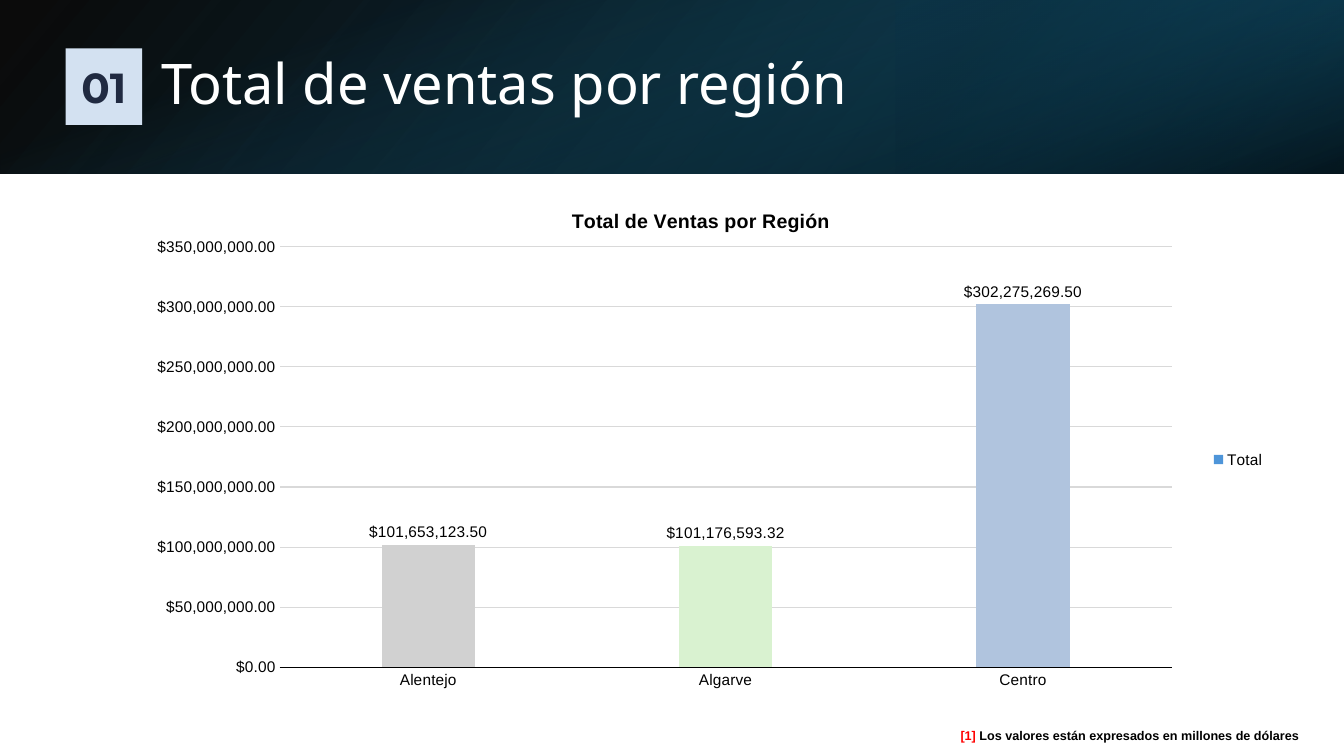
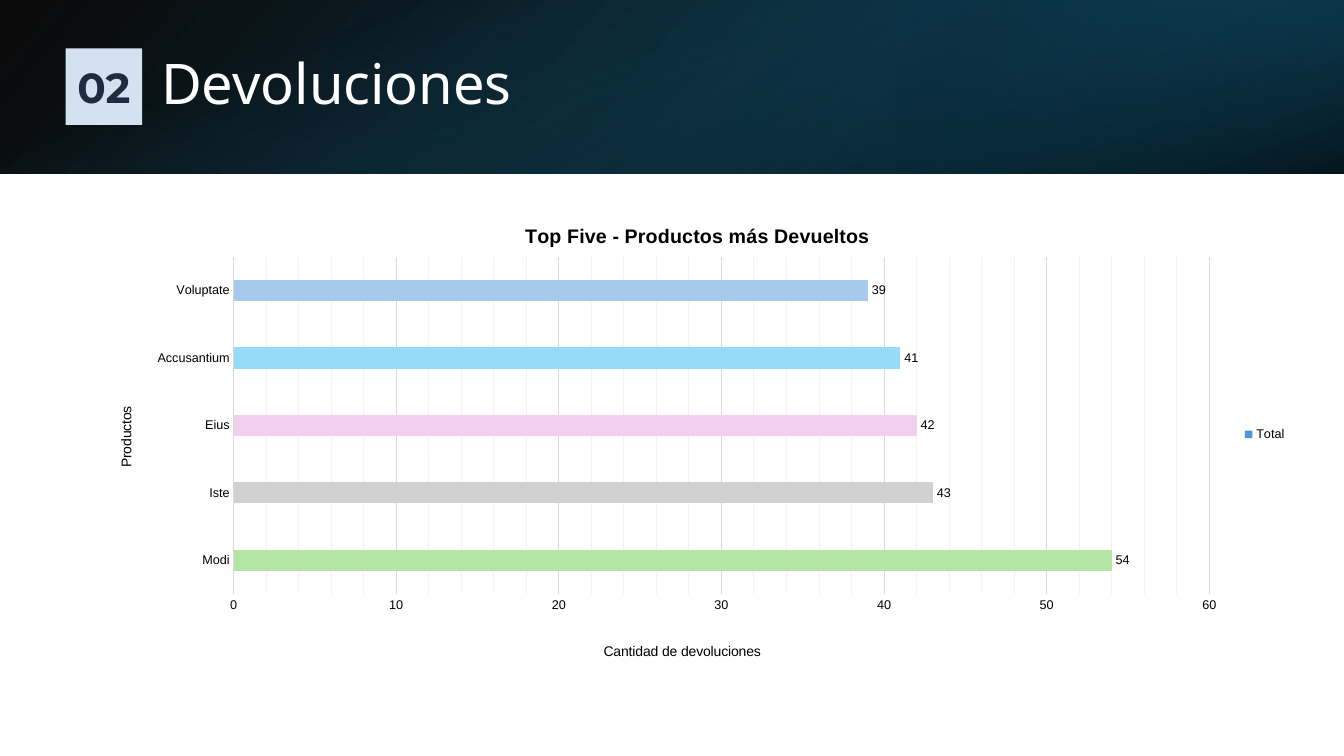
import pptx
import pptx.chart.data
import pptx.dml.color
import pptx.enum.chart
import pptx.enum.shapes
import pptx.enum.text
import pptx.oxml
import pptx.oxml.ns
import pptx.util

# Shared sizes: a grid of 100 columns and 100 rows
SLIDE_WIDTH = pptx.util.Inches(13.33)
SLIDE_HEIGHT = pptx.util.Inches(7.5)
COLUMN = SLIDE_WIDTH / 100
ROW = SLIDE_HEIGHT / 100
BAND_ROWS = 23

# Shared colours and fonts
WHITE, BLACK, RED = "FFFFFF", "000000", "FF0000"
BADGE_FILL, BADGE_TEXT = "D3E1F1", "202A41"
SERIES, GRID, MINOR_GRID = "4E95D9", "D9D9D9", "F2F2F2"
TITLE_FONT, BADGE_FONT, BODY_FONT = "Noto Sans", "Montserrat", "Arial"

LEFT = pptx.enum.text.PP_ALIGN.LEFT
CENTER = pptx.enum.text.PP_ALIGN.CENTER
JUSTIFY = pptx.enum.text.PP_ALIGN.JUSTIFY
TOP = pptx.enum.text.MSO_ANCHOR.TOP
MIDDLE = pptx.enum.text.MSO_ANCHOR.MIDDLE
RECTANGLE = pptx.enum.shapes.MSO_SHAPE.RECTANGLE
CHART_TYPE = pptx.enum.chart.XL_CHART_TYPE
NO_TICK = pptx.enum.chart.XL_TICK_MARK.NONE

# Layers of the header band: first column, columns, rotation, flip, angle
# and gradient stops (position, colour, opacity)
BAND_LAYERS = [
    (0, 100, 0, True, 140, [(0, "000000", 96), (100, "104862", 100)]),
    (66.67, 33.33, 180, True, 320, [(19, "0B3041", 68), (100, "156082", 79)]),
    (0, 100, 90, False, 340, [(23, "156082", 0), (99, "000000", 74)]),
]


def rgb(color):
    return pptx.dml.color.RGBColor.from_string(color)


def grid_box(column, row, columns, rows):
    return [round(length) for length in
            (column * COLUMN, row * ROW, columns * COLUMN, rows * ROW)]


def set_font(font, size, color=BLACK, name=BODY_FONT, bold=False):
    font.size = pptx.util.Pt(size)
    font.name = name
    font.bold = bold
    font.color.rgb = rgb(color)


def set_line(line, color):
    line.color.rgb = rgb(color)
    line.width = pptx.util.Pt(0.75)


def write_text(frame, *pieces, size, name=BODY_FONT, bold=False,
               align=LEFT, anchor=TOP, spacing=None):
    """Write (text, colour) pieces as one paragraph."""
    frame.word_wrap = True
    frame.vertical_anchor = anchor
    paragraph = frame.paragraphs[0]
    paragraph.alignment = align
    paragraph.line_spacing = spacing
    for text, color in pieces:
        run = paragraph.add_run()
        run.text = text
        set_font(run.font, size, color, name, bold)


def add_rectangle(slide, box):
    shape = slide.shapes.add_shape(RECTANGLE, *box)
    shape.shadow.inherit = False
    shape.line.fill.background()
    return shape


def set_gradient(shape, stops, angle):
    stop_xml = "".join(
        f'<a:gs pos="{position * 1000}"><a:srgbClr val="{color}">'
        f'<a:alpha val="{opacity * 1000}"/></a:srgbClr></a:gs>'
        for position, color, opacity in stops)
    gradient = pptx.oxml.parse_xml(
        f'<a:gradFill {pptx.oxml.ns.nsdecls("a")} rotWithShape="1">'
        f'<a:gsLst>{stop_xml}</a:gsLst>'
        f'<a:lin ang="{angle * 60000}" scaled="0"/></a:gradFill>')
    shape.fill.background()
    properties = shape._element.spPr
    properties.replace(properties.find(pptx.oxml.ns.qn("a:noFill")), gradient)


def add_band(slide):
    for column, columns, rotation, flipped, angle, stops in BAND_LAYERS:
        left, top, width, height = grid_box(column, 0, columns, BAND_ROWS)
        if rotation == 90:
            # The unrotated frame shares its centre with the band
            left, top = left + (width - height) // 2, top + (height - width) // 2
            width, height = height, width
        shape = add_rectangle(slide, (left, top, width, height))
        shape.rotation = rotation
        if flipped:
            shape._element.spPr.find(pptx.oxml.ns.qn("a:xfrm")).set("flipH", "1")
        set_gradient(shape, stops, angle)


def add_header(slide, number, title):
    add_band(slide)
    title_box = slide.shapes.add_textbox(*grid_box(11.25, 5.07, 82.37, 12.8))
    write_text(title_box.text_frame, (title, WHITE), size=40, name=TITLE_FONT,
               anchor=MIDDLE, spacing=0.9)
    badge = add_rectangle(slide, grid_box(4.88, 6.4, 5.7, 10.13))
    badge.fill.solid()
    badge.fill.fore_color.rgb = rgb(BADGE_FILL)
    write_text(badge.text_frame, (number, BADGE_TEXT), size=30,
               name=BADGE_FONT, bold=True, align=CENTER, anchor=MIDDLE)


def place(element, x, y, width=None, height=None):
    """Fix a chart part at percentages of the chart's size."""
    qn = pptx.oxml.ns.qn
    old_layout = element.find(qn("c:layout"))
    if old_layout is not None:
        element.remove(old_layout)
    target = '<c:layoutTarget val="inner"/>' if width else ""
    modes = '<c:xMode val="edge"/><c:yMode val="edge"/>'
    values = "".join(
        f'<c:{tag} val="{value / 100:.4f}"/>'
        for tag, value in (("x", x), ("y", y), ("w", width), ("h", height))
        if value is not None)
    layout = pptx.oxml.parse_xml(
        f'<c:layout {pptx.oxml.ns.nsdecls("c")}><c:manualLayout>'
        f'{target}{modes}{values}</c:manualLayout></c:layout>')
    overlay = element.find(qn("c:overlay"))
    if overlay is not None:
        overlay.addprevious(layout)
    else:
        element.insert(0, layout)


def add_axis_title(axis, text, position, vertical=False):
    title = axis.axis_title
    write_text(title.text_frame, (text, BLACK), size=10, align=CENTER)
    if vertical:
        body = title.text_frame._txBody.bodyPr
        body.set("rot", "-5400000")
        body.set("vert", "horz")
    place(title._element, *position)


def add_minor_gridlines(axis, unit, color):
    axis.minor_unit = unit
    axis.has_minor_gridlines = True
    gridlines = axis._element.find(pptx.oxml.ns.qn("c:minorGridlines"))
    gridlines.append(pptx.oxml.parse_xml(
        f'<c:spPr {pptx.oxml.ns.nsdecls("c", "a")}>'
        f'<a:ln w="{pptx.util.Pt(0.75)}"><a:solidFill>'
        f'<a:srgbClr val="{color}"/></a:solidFill></a:ln></c:spPr>'))


def add_bar_chart(slide, kind, box, title, values, colors, *, size,
                  number_format, maximum, step, axis_color,
                  plot_at, title_at, legend_at):
    data = pptx.chart.data.CategoryChartData()
    data.categories = list(values)
    data.add_series("Total", list(values.values()))
    chart = slide.shapes.add_chart(kind, *grid_box(*box), data).chart
    set_font(chart.font, size)

    # Title and legend
    write_text(chart.chart_title.text_frame, (title, BLACK), size=14,
               bold=True, align=CENTER)
    place(chart.chart_title._element, *title_at)
    chart.has_legend = True
    chart.legend.position = pptx.enum.chart.XL_LEGEND_POSITION.RIGHT
    chart.legend.include_in_layout = False
    set_font(chart.legend.font, size)
    place(chart.legend._element, *legend_at)

    # Axes
    for axis in (chart.category_axis, chart.value_axis):
        axis.major_tick_mark = axis.minor_tick_mark = NO_TICK
        set_font(axis.tick_labels.font, size)
    set_line(chart.category_axis.format.line, axis_color)
    value_axis = chart.value_axis
    value_axis.format.line.fill.background()
    value_axis.minimum_scale = 0
    value_axis.maximum_scale = maximum
    value_axis.major_unit = step
    value_axis.has_major_gridlines = True
    set_line(value_axis.major_gridlines.format.line, GRID)

    # Bars and their labels
    plot = chart.plots[0]
    plot.gap_width = 219
    plot.vary_by_categories = False
    series = plot.series[0]
    series.format.fill.solid()
    series.format.fill.fore_color.rgb = rgb(SERIES)
    for index, color in enumerate(colors):
        fill = series.points[index].format.fill
        fill.solid()
        fill.fore_color.rgb = rgb(color)
    labels = series.data_labels
    labels.show_value = True
    labels.position = pptx.enum.chart.XL_LABEL_POSITION.OUTSIDE_END
    set_font(labels.font, size)
    for numbers in (value_axis.tick_labels, labels):
        numbers.number_format = number_format
        numbers.number_format_is_linked = False
    place(chart._chartSpace.chart.plotArea, *plot_at)
    return chart


def add_sales_slide(slide):
    add_header(slide, "01", "Total de ventas por región")
    chart = add_bar_chart(
        slide, CHART_TYPE.COLUMN_CLUSTERED, (7.35, 24.4, 89.1, 71.2),
        "Total de Ventas por Región",
        {"Alentejo": 101653123.5, "Algarve": 101176593.32,
         "Centro": 302275269.5},
        ["D1D1D1", "D9F2D0", "B0C4DE"],
        size=11, number_format='"$"#,##0.00', maximum=350000000,
        step=50000000, axis_color=BLACK,
        plot_at=(15.1, 11.6, 74.5, 78.1), title_at=(39.2, 3.8),
        legend_at=(92.7, 48.7))
    chart.plots[0].overlap = -27
    footnote = slide.shapes.add_textbox(*grid_box(70.73, 95.6, 27, 3.33))
    write_text(footnote.text_frame, ("[1] ", RED),
               ("Los valores están expresados en millones de dólares", BLACK),
               size=9, bold=True, align=JUSTIFY)


def add_returns_slide(slide):
    add_header(slide, "02", "Devoluciones")
    chart = add_bar_chart(
        slide, CHART_TYPE.BAR_CLUSTERED, (6.9, 26.67, 89.63, 61.2),
        "Top Five - Productos más Devueltos",
        {"Modi": 54, "Iste": 43, "Eius": 42, "Accusantium": 41,
         "Voluptate": 39},
        ["B4E5A2", "D1D1D1", "F2CFEE", "96DCF8", "A6CAEC"],
        size=9, number_format="0", maximum=60, step=10, axis_color=GRID,
        plot_at=(11.7, 12, 81, 73), title_at=(35.6, 4),
        legend_at=(95.3, 48))
    add_minor_gridlines(chart.value_axis, 2, MINOR_GRID)
    add_axis_title(chart.category_axis, "Productos", (1.8, 43.8), True)
    add_axis_title(chart.value_axis, "Cantidad de devoluciones", (42.2, 95))


def main():
    presentation = pptx.Presentation()
    presentation.slide_width = SLIDE_WIDTH
    presentation.slide_height = SLIDE_HEIGHT
    blank_layout = presentation.slide_layouts[6]
    for fill_slide in (add_sales_slide, add_returns_slide):
        fill_slide(presentation.slides.add_slide(blank_layout))
    presentation.save("out.pptx")


if __name__ == "__main__":
    main()
